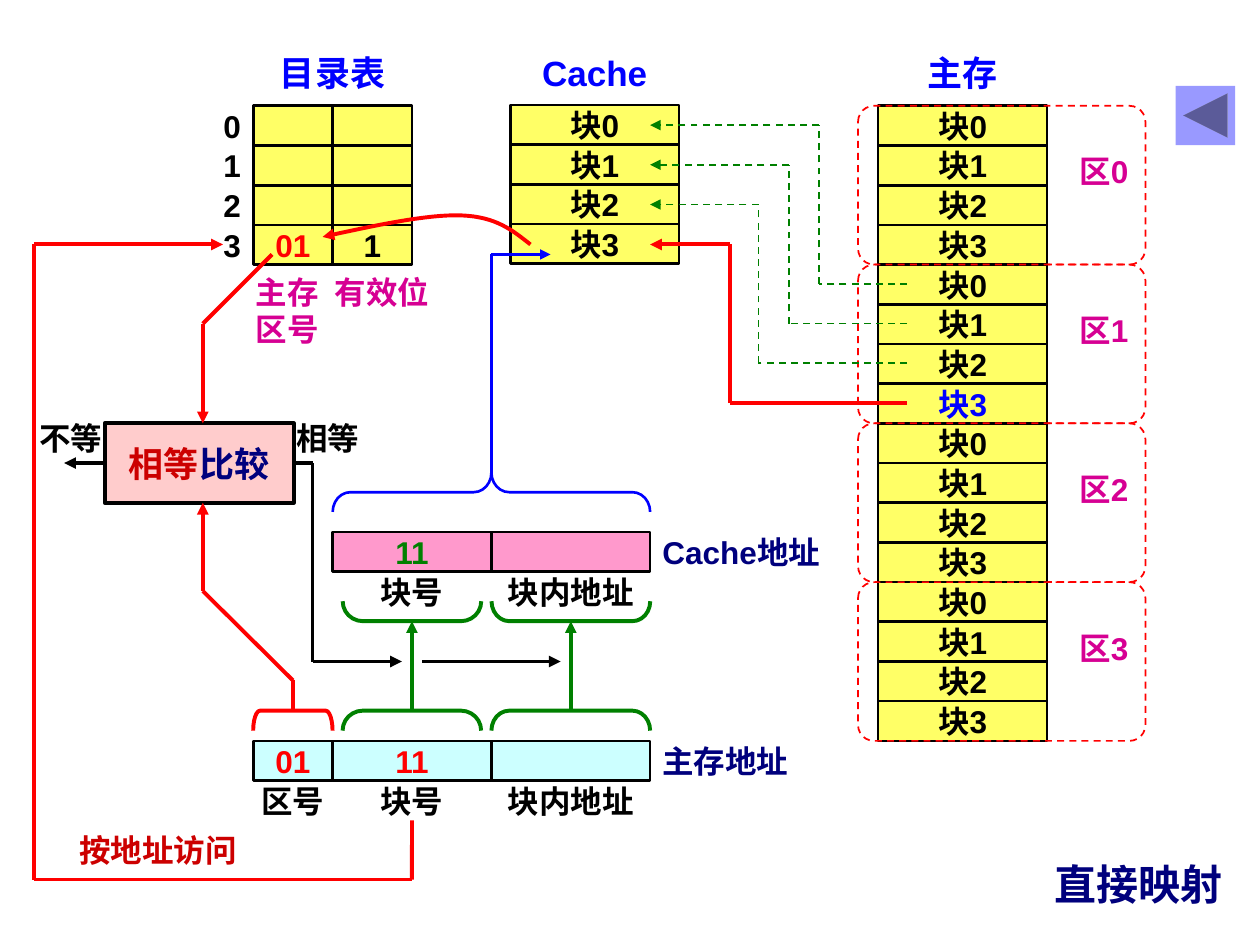
from dataclasses import dataclass
from itertools import pairwise

import lxml.etree
import pptx
import pptx.dml.color
import pptx.enum.dml
import pptx.enum.shapes
import pptx.enum.text
import pptx.oxml.ns
import pptx.util

Pt = pptx.util.Pt
SHAPES = pptx.enum.shapes.MSO_SHAPE
ALIGN = pptx.enum.text.PP_ALIGN
TOP, LEFT, BOTTOM, RIGHT = range(4)

ROW = 22.68
NARROW, WIDE = 2 * ROW, 4 * ROW
DIRECTORY_LEFT, CACHE_LEFT, MEMORY_LEFT = 144.7, 291.6, 501.8
BLOCK_WIDTH = 96.5
GRID_TOP = 60.5


@dataclass(frozen=True)
class Theme:
    font: str = "Arial"
    body: int = 18
    heading: int = 20
    title: int = 24
    thin: float = 1
    medium: float = 1.5
    thick: float = 2.25
    black: str = "000000"
    red: str = "FF0000"
    dark_red: str = "CC0000"
    green: str = "008000"
    blue: str = "0000FF"
    navy: str = "00007D"
    magenta: str = "D60093"
    yellow: str = "FFFF66"
    cyan: str = "CCFFFF"
    pink: str = "FF99CC"
    rose: str = "FFCCCC"
    button: str = "9999FF"


THEME = Theme()


def rgb(color):
    return pptx.dml.color.RGBColor.from_string(color)


def write_text(shape, text, size=THEME.body, color=THEME.black, align=ALIGN.CENTER,
               wrap=False, middle=True):
    """Write one bold paragraph; text is a string or a list of (text, color) runs."""
    anchors = pptx.enum.text.MSO_ANCHOR
    frame = shape.text_frame
    frame.auto_size = pptx.enum.text.MSO_AUTO_SIZE.NONE
    frame.word_wrap = wrap
    frame.vertical_anchor = anchors.MIDDLE if middle else anchors.TOP
    paragraph = frame.paragraphs[0]
    paragraph.alignment = align
    for run_text, run_color in [(text, color)] if isinstance(text, str) else text:
        run = paragraph.add_run()
        run.text = run_text
        run.font.name, run.font.size, run.font.bold = THEME.font, Pt(size), True
        run.font.color.rgb = rgb(run_color)


def style_line(shape, color, width, dashed=False, arrow=False):
    shape.line.color.rgb = rgb(color)
    shape.line.width = Pt(width)
    if dashed:
        shape.line.dash_style = pptx.enum.dml.MSO_LINE.DASH
    if arrow:
        outline = shape._element.spPr.get_or_add_ln()
        lxml.etree.SubElement(outline, pptx.oxml.ns.qn("a:tailEnd"), type="triangle")


def bezier(start, first, second, end, steps=16):
    """Return the points of a cubic curve after its start."""
    points = []
    for step in range(1, steps + 1):
        t = step / steps
        weights = ((1 - t) ** 3, 3 * t * (1 - t) ** 2, 3 * t * t * (1 - t), t ** 3)
        points.append(tuple(sum(w * p[axis] for w, p in zip(weights, (start, first, second, end)))
                            for axis in (0, 1)))
    return points


class Diagram:
    def __init__(self, slide, theme):
        self.slide, self.theme = slide, theme

    def title(self, text, left, top, width, height):
        shape = self.slide.shapes.title
        shape.left, shape.top, shape.width, shape.height = map(Pt, (left, top, width, height))
        write_text(shape, text, self.theme.title, self.theme.navy, ALIGN.RIGHT)

    def label(self, text, left, top, width, height=ROW, **text_format):
        shape = self.slide.shapes.add_textbox(*map(Pt, (left, top, width, height)))
        write_text(shape, text, **text_format)
        return shape

    def shape(self, kind, left, top, width, height, fill=None, line=None,
              weight=THEME.medium, dashed=False, adjustments=()):
        shape = self.slide.shapes.add_shape(kind, *map(Pt, (left, top, width, height)))
        shape.shadow.inherit = False
        for index, value in enumerate(adjustments):
            shape.adjustments[index] = value
        if fill:
            shape.fill.solid()
            shape.fill.fore_color.rgb = rgb(fill)
        else:
            shape.fill.background()
        if line:
            style_line(shape, line, weight, dashed)
        else:
            shape.line.fill.background()
        return shape

    def cell(self, text, left, top, width, fill, **text_format):
        shape = self.shape(SHAPES.RECTANGLE, left, top, width, ROW, fill, self.theme.black)
        if text:
            write_text(shape, text, **text_format)

    def bracket(self, kind, left, top, width, height, color, weight, *adjustments):
        """Draw a bracket lying on its side; the box is the one it fills after turning."""
        shape = self.shape(kind, left + (width - height) / 2, top + (height - width) / 2,
                           height, width, line=color, weight=weight, adjustments=adjustments)
        shape.rotation = 270
        return shape

    def route(self, points, color, weight=THEME.thick, dashed=False, arrow=True, start=None):
        """Join points by straight connectors; start is a (shape, side) to attach to."""
        segments = list(pairwise(points))
        for index, (begin, end) in enumerate(segments):
            connector = self.slide.shapes.add_connector(
                pptx.enum.shapes.MSO_CONNECTOR.STRAIGHT, *map(Pt, begin + end))
            if start and index == 0:
                connector.begin_connect(*start)
            style_line(connector, color, weight, dashed, arrow and index == len(segments) - 1)
            lxml.etree.SubElement(connector._element.spPr, pptx.oxml.ns.qn("a:effectLst"))

    def curve(self, start, points, color):
        builder = self.slide.shapes.build_freeform(*map(Pt, start))
        builder.add_line_segments([tuple(map(Pt, point)) for point in points], close=False)
        shape = builder.convert_to_shape()
        shape.shadow.inherit = False
        shape.fill.background()
        style_line(shape, color, self.theme.thick, arrow=True)


def draw_tables(diagram):
    for text, left, width in (("目录表", DIRECTORY_LEFT, 2 * NARROW),
                              ("Cache", CACHE_LEFT, BLOCK_WIDTH),
                              ("主存", MEMORY_LEFT, BLOCK_WIDTH)):
        diagram.label(text, left, 25.9, width, 31, size=THEME.heading, color=THEME.blue,
                      wrap=True, middle=False)
    for row in range(4):
        top = GRID_TOP + row * ROW
        diagram.label(str(row), 99.4, top, NARROW, align=ALIGN.RIGHT)
        tag, valid = ("01", "1") if row == 3 else ("", "")
        diagram.cell(tag, DIRECTORY_LEFT, top, NARROW, THEME.yellow, color=THEME.red)
        diagram.cell(valid, DIRECTORY_LEFT + NARROW, top, NARROW, THEME.yellow)
        diagram.cell(f"块{row}", CACHE_LEFT, top - 0.5, BLOCK_WIDTH, THEME.yellow)
    for text, left, width, height in (("主存区号", 139, 51.1, 50.4), ("有效位", 184.3, 74.2, 28.8)):
        diagram.label(text, left, 152.3, width, height, color=THEME.magenta,
                      align=ALIGN.LEFT, wrap=True, middle=False)
    for zone in range(4):
        top = GRID_TOP + zone * 4 * ROW
        diagram.label(f"区{zone}", 609.8, top + 23, NARROW, 28.8, color=THEME.magenta,
                      align=ALIGN.LEFT, wrap=True, middle=False)
        for block in range(4):
            color = THEME.blue if (zone, block) == (1, 3) else THEME.black
            diagram.cell(f"块{block}", MEMORY_LEFT, top + block * ROW, BLOCK_WIDTH,
                         THEME.yellow, color=color)
        diagram.shape(SHAPES.ROUNDED_RECTANGLE, 490.3, top, 164.2, 4 * ROW, line=THEME.red,
                      weight=THEME.thin, dashed=True, adjustments=[0.1])


def draw_address(diagram, name, top, fill, fields):
    """Draw an address bar of (value, color, caption, width) fields ending at one right edge."""
    right = DIRECTORY_LEFT + NARROW + 2 * WIDE
    left = right - sum(field[3] for field in fields)
    captions = {}
    for value, color, caption, width in fields:
        diagram.cell(value, left, top, width, fill, color=color)
        captions[caption] = diagram.label(caption, left, top + ROW, width)
        left += width
    diagram.label(name, right, top, 100, color=THEME.navy, align=ALIGN.LEFT)
    return captions


def draw_flow(diagram, block_caption):
    compare = diagram.shape(SHAPES.ROUNDED_RECTANGLE, 59.8, 241.9, 108, 45.4, THEME.rose,
                            THEME.black, THEME.thick, adjustments=[0])
    write_text(compare, [("相等", THEME.dark_red), ("比较", THEME.navy)], THEME.heading)
    for text, left in (("不等", 14.4), ("相等", 161.3)):
        diagram.label(text, left, 235.8, 51.1, 28.8, align=ALIGN.RIGHT, wrap=True, middle=False)
    diagram.label("按地址访问", 31, 474.5, 118.8, color=THEME.dark_red)

    diagram.route([(59.8, 264.6), (36.7, 264.6)], THEME.black, start=(compare, LEFT))
    diagram.route([(167.8, 264.6), (178.6, 264.6), (178.6, 378), (229.7, 378)], THEME.black,
                  start=(compare, RIGHT))
    diagram.route([(241.2, 378), (320.4, 378)], THEME.black)

    diagram.route([(518.4, 230.4), (416.9, 230.4), (416.9, 139.7), (371.5, 139.7)], THEME.red)
    diagram.route([(235.4, 468.7), (235.4, 502.6), (19.4, 502.6), (19.4, 139.7), (127.4, 139.7)],
                  THEME.red, start=(block_caption, BOTTOM))
    diagram.route([(155.5, 145.4), (115.9, 185), (115.9, 241.9)], THEME.red)
    diagram.route([(167.4, 406.1), (167.4, 388.8), (115.9, 337.7), (115.9, 287.3)], THEME.red)
    start, middle = (303.1, 139.7), (263.5, 123.1)
    diagram.curve(start, bezier(start, (293, 131.8), (283.7, 123.8), middle)
                  + bezier(middle, (244.1, 122.4), (213.8, 128.9), (184.3, 135.4)), THEME.red)

    for block in range(3):
        bend, drop = 468 - 17.28 * block, block * ROW
        diagram.route([(518.4, 162.2 + drop), (bend, 162.2 + drop), (bend, 71.5 + drop),
                       (371.5, 71.5 + drop)], THEME.green, THEME.thin, dashed=True)

    diagram.bracket(SHAPES.RIGHT_BRACKET, DIRECTORY_LEFT, 406.1, NARROW, 11.4, THEME.red,
                    THEME.thick, 0.34)
    for center, width, curve in ((235.4, 79.2, 1.01), (326.2, WIDE, 0.89)):
        lower, upper = (diagram.bracket(SHAPES.RIGHT_BRACKET, center - width / 2, top, width, 11.4,
                                        THEME.green, THEME.thick, curve) for top in (406.1, 343.6))
        upper.rotation = 90
        diagram.route([(center, 406.1), (center, 355)], THEME.green)
    diagram.bracket(SHAPES.RIGHT_BRACE, 190.1, 270, 2 * WIDE, 22.5, THEME.blue, THEME.medium,
                    0.45, 0.5)
    diagram.route([(280.8, 270), (280.8, 145.4), (314.6, 145.4)], THEME.blue, THEME.medium)


def main():
    presentation = pptx.Presentation()
    presentation.slide_width, presentation.slide_height = Pt(720), Pt(540)
    diagram = Diagram(presentation.slides.add_slide(presentation.slide_layouts[5]), THEME)
    diagram.title("直接映射", 592.6, 485.3, 113, 39.6)
    draw_tables(diagram)
    offset = ("", THEME.black, "块内地址", WIDE)
    captions = draw_address(diagram, "主存地址", 423.4, THEME.cyan, [
        ("01", THEME.red, "区号", NARROW), ("11", THEME.red, "块号", WIDE), offset])
    draw_address(diagram, "Cache地址", 304, THEME.pink,
                 [("11", THEME.green, "块号", WIDE), offset])
    draw_flow(diagram, captions["块号"])
    diagram.shape(SHAPES.ACTION_BUTTON_BACK_OR_PREVIOUS, 671.8, 49, 34, 34, THEME.button)
    presentation.save("out.pptx")


if __name__ == "__main__":
    main()
